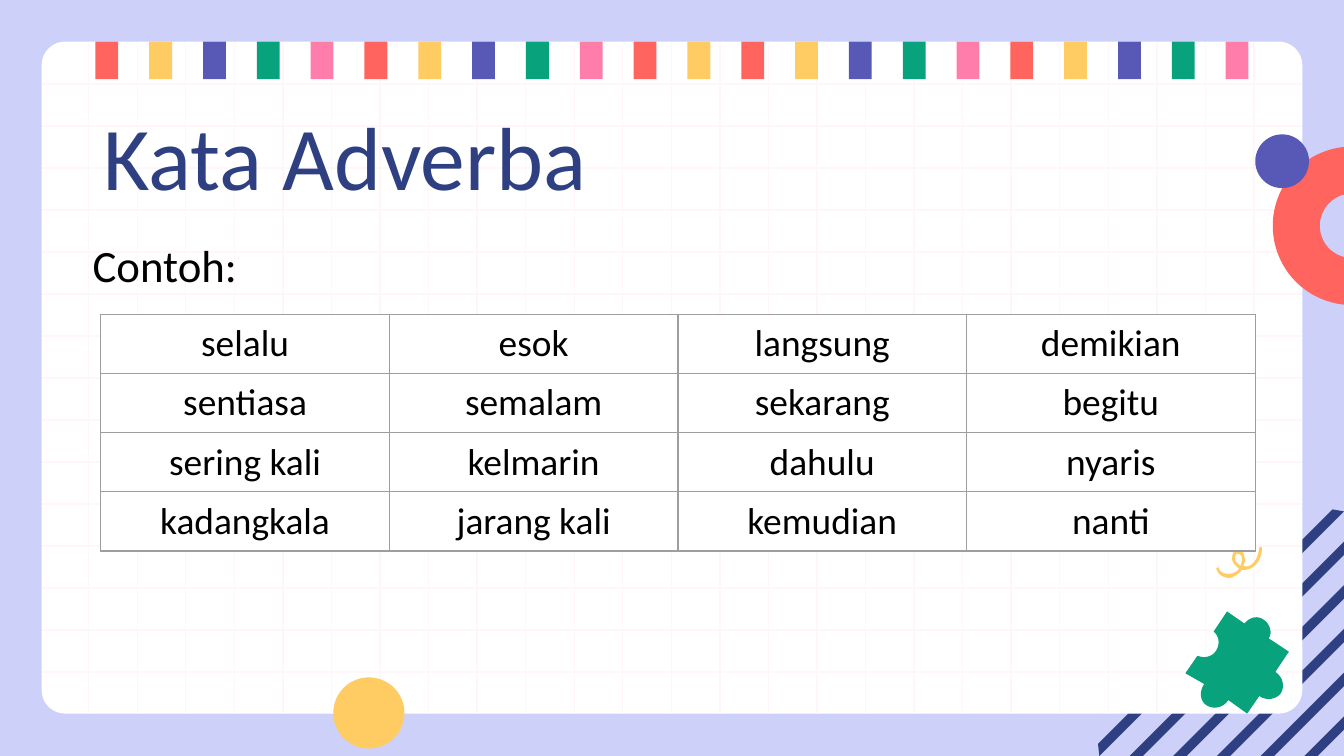
"""Build the "Kata Adverba" slide with its decorated frame and word table."""
from math import cos, pi, sin
from typing import NamedTuple

from lxml.etree import SubElement
from pptx import Presentation
from pptx.dml.color import RGBColor
from pptx.enum.shapes import MSO_CONNECTOR, MSO_SHAPE
from pptx.enum.text import MSO_ANCHOR, PP_ALIGN
from pptx.oxml.ns import qn
from pptx.util import Inches, Pt

RECT, ROUND_RECT, OVAL = MSO_SHAPE.RECTANGLE, MSO_SHAPE.ROUNDED_RECTANGLE, MSO_SHAPE.OVAL
STRAIGHT = MSO_CONNECTOR.STRAIGHT
CENTER, TOP = PP_ALIGN.CENTER, MSO_ANCHOR.TOP

LAVENDER = RGBColor(0xCD, 0xD1, 0xF9)
NAVY = RGBColor(0x2E, 0x40, 0x81)
WHITE = RGBColor(0xFF, 0xFF, 0xFF)
BLACK = RGBColor(0, 0, 0)
GRID = RGBColor(0xFF, 0xF7, 0xF7)
RED = RGBColor(0xFF, 0x64, 0x5E)
YELLOW = RGBColor(0xFF, 0xCC, 0x63)
PURPLE = RGBColor(0x58, 0x59, 0xB6)
GREEN = RGBColor(0x08, 0xA3, 0x7C)
PINK = RGBColor(0xFF, 0x7D, 0xAB)
BORDER = RGBColor(0x9E, 0x9E, 0x9E)
BAR_COLORS = (RED, YELLOW, PURPLE, GREEN, PINK)

FONT = "Calibri"
WIDTH, HEIGHT = 10, 5.625
WORDS = (
    ("selalu", "esok", "langsung", "demikian"),
    ("sentiasa", "semalam", "sekarang", "begitu"),
    ("sering kali", "kelmarin", "dahulu", "nyaris"),
    ("kadangkala", "jarang kali", "kemudian", "nanti"),
)

Contour = list[tuple[float, ...]]


class Box(NamedTuple):
    left: float
    top: float
    width: float
    height: float


class Label(NamedTuple):
    text: str
    box: Box
    size: float
    color: RGBColor
    spacing: float


LABELS = (
    Label("Kata Adverba", Box(0.67, 0.65, 8.43, 0.63), 48, NAVY, 1),
    Label("Contoh:", Box(0.59, 1.47, 8.95, 3.54), 24, BLACK, 1.5),
)
PUZZLE: Contour = [
    (9.4, 4.61), (9.36, 4.58, 9.3, 4.59, 9.26, 4.64), (9.13, 4.55), (9.03, 4.7),
    (9.07, 4.73, 9.08, 4.79, 9.05, 4.84), (9.02, 4.89, 8.96, 4.9, 8.91, 4.88),
    (8.82, 5.01), (8.96, 5.09), (8.92, 5.15, 8.93, 5.22, 8.98, 5.25),
    (9.03, 5.28, 9.1, 5.27, 9.14, 5.21), (9.28, 5.31), (9.37, 5.18),
    (9.43, 5.22, 9.5, 5.2, 9.53, 5.16), (9.56, 5.11, 9.55, 5.04, 9.49, 5),
    (9.59, 4.85), (9.44, 4.75), (9.47, 4.71, 9.45, 4.64, 9.4, 4.61),
]
SQUIGGLE: Contour = [
    (9.38, 4.07), (9.37, 4.07, 9.37, 4.07, 9.37, 4.08),
    (9.36, 4.13, 9.35, 4.18, 9.3, 4.21), (9.29, 4.21, 9.28, 4.22, 9.25, 4.21),
    (9.26, 4.19, 9.27, 4.17, 9.26, 4.15), (9.26, 4.12, 9.24, 4.09, 9.21, 4.09),
    (9.18, 4.1, 9.17, 4.12, 9.17, 4.14), (9.16, 4.18, 9.19, 4.21, 9.22, 4.23),
    (9.21, 4.24, 9.2, 4.26, 9.18, 4.26), (9.17, 4.27, 9.16, 4.27, 9.14, 4.27),
    (9.11, 4.27, 9.08, 4.26, 9.07, 4.23), (9.07, 4.22, 9.06, 4.22, 9.05, 4.23),
    (9.06, 4.27, 9.1, 4.3, 9.14, 4.3), (9.16, 4.3, 9.17, 4.3, 9.18, 4.29),
    (9.2, 4.28, 9.23, 4.26, 9.24, 4.24), (9.25, 4.24, 9.26, 4.24, 9.27, 4.24),
    (9.35, 4.23, 9.39, 4.15, 9.39, 4.08), (9.39, 4.07, 9.39, 4.07, 9.38, 4.07),
]
SQUIGGLE_LOOP: Contour = [
    (9.21, 4.12), (9.24, 4.13, 9.24, 4.14, 9.24, 4.16),
    (9.24, 4.17, 9.24, 4.19, 9.23, 4.21), (9.22, 4.2, 9.2, 4.19, 9.19, 4.17),
    (9.19, 4.16, 9.19, 4.13, 9.2, 4.12),
]


def paint(sp, color: RGBColor) -> None:
    sp.shadow.inherit = False
    sp.fill.solid()
    sp.fill.fore_color.rgb = color
    sp.line.fill.background()


def add_preset(s, kind, box: Box, color: RGBColor):
    sp = s.shapes.add_shape(kind, *map(Inches, box))
    paint(sp, color)
    return sp


def flatten(contour: Contour, steps: int = 8) -> list[tuple[float, float]]:
    points = [contour[0]]
    for seg in contour[1:]:
        if len(seg) == 2:
            points.append(seg)
            continue
        (x0, y0), (x1, y1, x2, y2, x3, y3) = points[-1], seg
        for t in (i / steps for i in range(1, steps + 1)):
            a, b, c, d = (1 - t) ** 3, 3 * t * (1 - t) ** 2, 3 * t * t * (1 - t), t ** 3
            points.append((a * x0 + b * x1 + c * x2 + d * x3, a * y0 + b * y1 + c * y2 + d * y3))
    return points


def add_outline(s, color: RGBColor, *contours: Contour) -> None:
    paths = [[(Inches(x), Inches(y)) for x, y in flatten(c)] for c in contours]
    builder = s.shapes.build_freeform(*paths[0][0])
    builder.add_line_segments(paths[0][1:])
    for path in paths[1:]:
        builder.move_to(*path[0])
        builder.add_line_segments(path[1:])
    paint(builder.convert_to_shape(), color)


def add_line(s, x1: float, y1: float, x2: float, y2: float) -> None:
    line = s.shapes.add_connector(STRAIGHT, *map(Inches, (x1, y1, x2, y2)))
    line.line.color.rgb = GRID
    line.line.width = Pt(0.75)
    SubElement(line._element.spPr, qn("a:effectLst"))


def add_stripes(s, left: float, top: float) -> None:
    for i in range(7):
        total = 15.33 - 0.325 * i
        ends = [((min(WIDTH, c - top), max(top, c - WIDTH)),
                 (max(left, c - HEIGHT), min(HEIGHT, c - left))) for c in (total, total + 0.1)]
        (upper, lower), (next_upper, next_lower) = ends
        add_outline(s, NAVY, [upper, lower, next_lower, next_upper])


def add_card(s) -> None:
    card = add_preset(s, ROUND_RECT, Box(0.31, 0.31, 9.38, 5), WHITE)
    card.adjustments[0] = 0.035
    for i in range(2, 17):
        add_line(s, 0.31, 0.3125 * i, 9.69, 0.3125 * i)
    for i in range(25):
        x = 0.66 + 8.67 / 24 * i
        add_line(s, x, 0.31, x, 5.31)
    for i in range(22):
        color = BAR_COLORS[i % 12 % len(BAR_COLORS)]
        add_preset(s, RECT, Box(0.71 + 8.41 / 21 * i, 0.31, 0.17, 0.28), color)


def add_half_ring(s, x: float, y: float, outer: float, inner: float) -> None:
    angles = [pi / 2 + pi * i / 48 for i in range(49)]
    arcs = [[(x + r * cos(a), y + r * sin(a)) for a in angles] for r in (outer, inner)]
    add_outline(s, RED, arcs[0] + arcs[1][::-1])


def style(p, size: float, color: RGBColor) -> None:
    for r in p.runs:
        r.font.name = FONT
        r.font.size = Pt(size)
        r.font.color.rgb = color


def add_label(s, label: Label) -> None:
    tf = s.shapes.add_textbox(*map(Inches, label.box)).text_frame
    tf.word_wrap = True
    tf.vertical_anchor = TOP
    tf.margin_left = tf.margin_right = tf.margin_top = tf.margin_bottom = Inches(0.1)
    tf.text = label.text
    p = tf.paragraphs[0]
    p.line_spacing = label.spacing
    style(p, label.size, label.color)


def add_word_table(s, box: Box) -> None:
    frame = s.shapes.add_table(len(WORDS), len(WORDS[0]), *map(Inches, box))
    table = frame.table
    table.first_row = table.horz_banding = False
    for row, words in enumerate(WORDS):
        for col, word in enumerate(words):
            cell = table.cell(row, col)
            cell.text = word
            p = cell.text_frame.paragraphs[0]
            p.alignment = CENTER
            style(p, 20, BLACK)
            for side in ("a:lnL", "a:lnR", "a:lnT", "a:lnB"):
                ln = SubElement(cell._tc.get_or_add_tcPr(), qn(side), w=str(Pt(0.75)))
                SubElement(SubElement(ln, qn("a:solidFill")), qn("a:srgbClr"), val=str(BORDER))
            cell.fill.solid()
            cell.fill.fore_color.rgb = WHITE


def main() -> None:
    prs = Presentation()
    prs.slide_width, prs.slide_height = Inches(WIDTH), Inches(HEIGHT)
    s = prs.slides.add_slide(prs.slide_layouts[6])
    s.background.fill.solid()
    s.background.fill.fore_color.rgb = LAVENDER
    add_stripes(s, 8.17, 3.79)
    add_card(s)
    add_half_ring(s, 10.06, 1.68, 0.59, 0.24)
    add_preset(s, OVAL, Box(2.48, 5.04, 0.53, 0.53), YELLOW)
    add_preset(s, OVAL, Box(9.34, 1, 0.4, 0.4), PURPLE)
    add_outline(s, GREEN, PUZZLE)
    add_outline(s, YELLOW, SQUIGGLE, SQUIGGLE_LOOP)
    for label in LABELS:
        add_label(s, label)
    add_word_table(s, Box(0.75, 2.34, 8.59, 1.76))
    prs.save("out.pptx")


if __name__ == "__main__":
    main()
